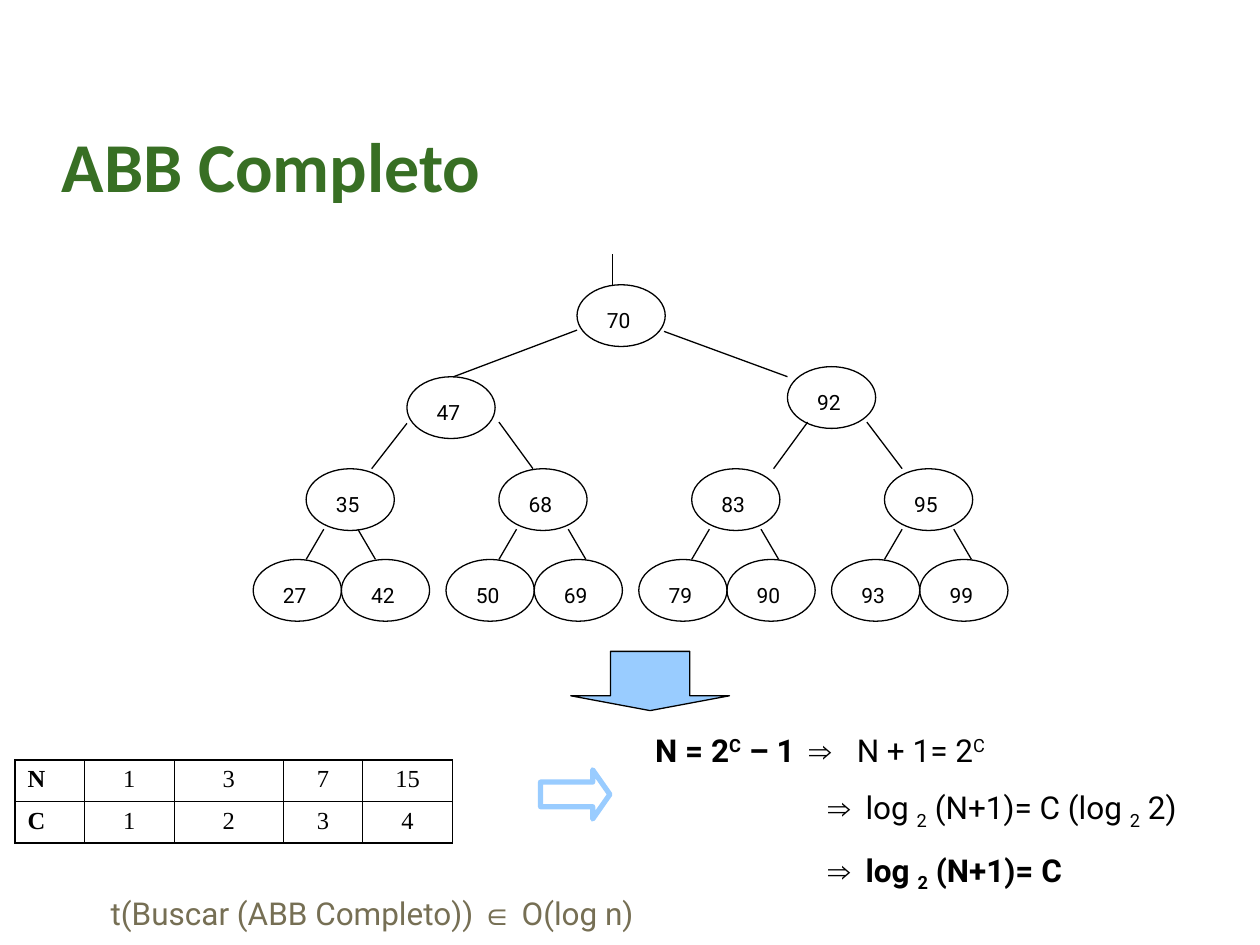
from typing import NamedTuple

from lxml import etree
from pptx import Presentation
from pptx.dml.color import RGBColor
from pptx.enum.shapes import MSO_CONNECTOR, MSO_SHAPE
from pptx.enum.text import MSO_ANCHOR, PP_ALIGN
from pptx.oxml.ns import qn
from pptx.util import Inches, Pt

LINE = MSO_CONNECTOR.STRAIGHT
OVAL, DOWN, RIGHT = MSO_SHAPE.OVAL, MSO_SHAPE.DOWN_ARROW, MSO_SHAPE.RIGHT_ARROW
LEFT, CENTER = PP_ALIGN.LEFT, PP_ALIGN.CENTER
TOP, MIDDLE, BOTTOM = MSO_ANCHOR.TOP, MSO_ANCHOR.MIDDLE, MSO_ANCHOR.BOTTOM
BLACK, GREEN, BLUE, OLIVE = "000000", "386F24", "99CCFF", "766F54"
STEP = 1.53  # distance between subtrees


class Run(NamedTuple):
    text: str
    bold: bool = False
    base: int = 0  # percent above or below the baseline
    font: str = "Roboto"


class Node(NamedTuple):
    key: int
    x: float
    y: float


class Edge(NamedTuple):
    x1: float
    y1: float
    x2: float
    y2: float


def color(code: str) -> RGBColor:
    return RGBColor.from_string(code)


def add_run(para, run: Run, size: float, code: str) -> None:
    part = para.add_run()
    part.text = run.text
    font = part.font
    font.name, font.size, font.bold = run.font, Pt(size), run.bold
    font.color.rgb = color(code)
    if run.base:
        font._element.set("baseline", str(run.base * 1000))


def set_tabs(para, stops: tuple) -> None:
    tabs = etree.SubElement(para._p.get_or_add_pPr(), qn("a:tabLst"))
    for stop in stops:
        etree.SubElement(tabs, qn("a:tab"), pos=str(Inches(stop)), algn="l")


def add_box(slide, x: float, y: float, w: float, h: float):
    frame = slide.shapes.add_textbox(*map(Inches, (x, y, w, h))).text_frame
    frame.word_wrap = True
    return frame


def add_shape(slide, kind, x: float, y: float, w: float, h: float,
              line: str = BLACK, width: float = 0.75, fill: str = ""):
    shape = slide.shapes.add_shape(kind, *map(Inches, (x, y, w, h)))
    shape.shadow.inherit = False
    shape.line.color.rgb = color(line)
    shape.line.width = Pt(width)
    if fill:
        shape.fill.solid()
        shape.fill.fore_color.rgb = color(fill)
    else:
        shape.fill.background()
    return shape


def add_node(slide, node: Node) -> None:
    frame = add_shape(slide, OVAL, node.x, node.y, 0.7, 0.49).text_frame
    frame.word_wrap = False
    frame.vertical_anchor = MIDDLE
    frame.margin_left = frame.margin_bottom = 0
    frame.margin_right, frame.margin_top = Inches(0.04), Inches(0.07)
    para = frame.paragraphs[0]
    para.alignment = CENTER
    add_run(para, Run(str(node.key)), 12, BLACK)


def add_edge(slide, edge: Edge) -> None:
    line = slide.shapes.add_connector(LINE, *map(Inches, edge))
    line.line.color.rgb = color(BLACK)
    line.line.width = Pt(0.75)
    etree.SubElement(line._element.spPr, qn("a:effectLst"))


def set_border(cell, side: str, width: float) -> None:
    line = etree.SubElement(cell._tc.get_or_add_tcPr(), qn("a:ln" + side),
                            w=str(Pt(width)))
    fill = etree.SubElement(line, qn("a:solidFill"))
    etree.SubElement(fill, qn("a:srgbClr"), val=BLACK)


def add_grid(slide, rows: list, widths: list) -> None:
    last_row, last_col = len(rows) - 1, len(widths) - 1
    frame = slide.shapes.add_table(len(rows), len(widths), Inches(0.12),
                                   Inches(6.03), Inches(sum(widths)), Inches(0.66))
    table = frame.table
    table.first_row = table.horz_banding = False
    for col, width in zip(table.columns, widths):
        col.width = Inches(width)
    for r, row in enumerate(rows):
        table.rows[r].height = Inches(0.33)
        for c, text in enumerate(row):
            cell = table.cell(r, c)
            outer = {"L": c == 0, "R": c == last_col, "T": r == 0, "B": r == last_row}
            for side, edge in outer.items():
                set_border(cell, side, 0.96 if edge else 0.45)
            cell.fill.background()
            para = cell.text_frame.paragraphs[0]
            para.alignment = CENTER if c else LEFT
            add_run(para, Run(text, c == 0, font="Times New Roman"), 14, BLACK)


def add_proof(slide, lines: list) -> None:
    frame = add_box(slide, 5.04, 5.75, 4.96, 1.4)
    frame.margin_left = Inches(0.16)
    for i, (stops, runs) in enumerate(lines):
        para = frame.add_paragraph() if i else frame.paragraphs[0]
        set_tabs(para, stops)
        if i:
            para.space_before = Pt(11.2)
        for run in runs:
            add_run(para, run, 18, BLACK)


def main() -> None:
    deck = Presentation()
    deck.slide_width, deck.slide_height = Inches(10), Inches(7.5)
    slide = deck.slides.add_slide(deck.slide_layouts[5])

    # Title
    title = slide.shapes.title
    title.left, title.top, title.width, title.height = map(
        Inches, (0.49, 0.43, 9.03, 1.21))
    frame = title.text_frame
    frame.margin_left = frame.margin_right = frame.margin_top = frame.margin_bottom = 0
    frame.vertical_anchor = BOTTOM
    frame.paragraphs[0].alignment = LEFT
    add_run(frame.paragraphs[0], Run("ABB Completo", True, font="Calibri"), 40, GREEN)

    # Table of nodes and levels
    add_grid(slide, [["N", "1", "3", "7", "15"], ["C", "1", "2", "3", "4"]],
             [0.55, 0.71, 0.87, 0.63, 0.71])

    # Tree: upper nodes, then one subtree for each step
    nodes = [Node(70, 4.58, 2.26), Node(47, 3.23, 2.99), Node(92, 6.25, 2.91)]
    edges = [Edge(4.86, 2.26, 4.86, 2.02),
             Edge(3.6, 2.99, 4.58, 2.62), Edge(5.27, 2.63, 6.25, 2.99),
             Edge(3.23, 3.36, 2.95, 3.72), Edge(3.96, 3.35, 4.23, 3.72),
             Edge(6.41, 3.35, 6.14, 3.72), Edge(6.88, 3.35, 7.16, 3.72)]
    trees = [(35, 27, 42), (68, 50, 69), (83, 79, 90), (95, 93, 99)]
    for i, (root, low, high) in enumerate(trees):
        x = 2.43 + i * STEP
        nodes += [Node(root, x, 3.72), Node(low, x - 0.42, 4.44),
                  Node(high, x + 0.28, 4.44)]
        right = x + (0.55 if i else 0.41)
        edges += [Edge(x + 0.14, 4.2, x, 4.44), Edge(right, 4.2, right + 0.14, 4.44)]
    for node in nodes:
        add_node(slide, node)
    for edge in edges:
        add_edge(slide, edge)

    # Proof, aligned on tab stops
    arrow = Run("\t⇒\t", font="Arial")
    sub = Run("2", base=-25)
    add_proof(slide, [
        ((1.22, 1.6), [Run("N = 2", True), Run("C", True, 30), Run(" – 1", True),
                       arrow, Run("N + 1= 2"), Run("C", base=30)]),
        ((1.37, 1.67), [arrow, Run("log "), sub, Run(" (N+1)= C (log "), sub,
                        Run(" 2)")]),
        ((1.37, 1.67), [arrow, Run("log ", True), Run("2", True, -25),
                        Run(" (N+1)= C", True)]),
    ])

    # Block arrows
    side = add_shape(slide, RIGHT, 4.29, 6.11, 0.55, 0.39, BLUE, 3)
    side.adjustments[1] = 0.35
    down = add_shape(slide, DOWN, 4.53, 5.17, 1.26, 0.47, fill=BLUE)
    down.adjustments[1] = 0.25

    # Result
    para = add_box(slide, 0.78, 7.05, 5.31, 0.4).paragraphs[0]
    for run in (Run("t(Buscar (ABB Completo)) "), Run("∈ ", font="Arial"),
                Run("O(log n)")):
        add_run(para, run, 18, OLIVE)

    deck.save("out.pptx")


if __name__ == "__main__":
    main()
